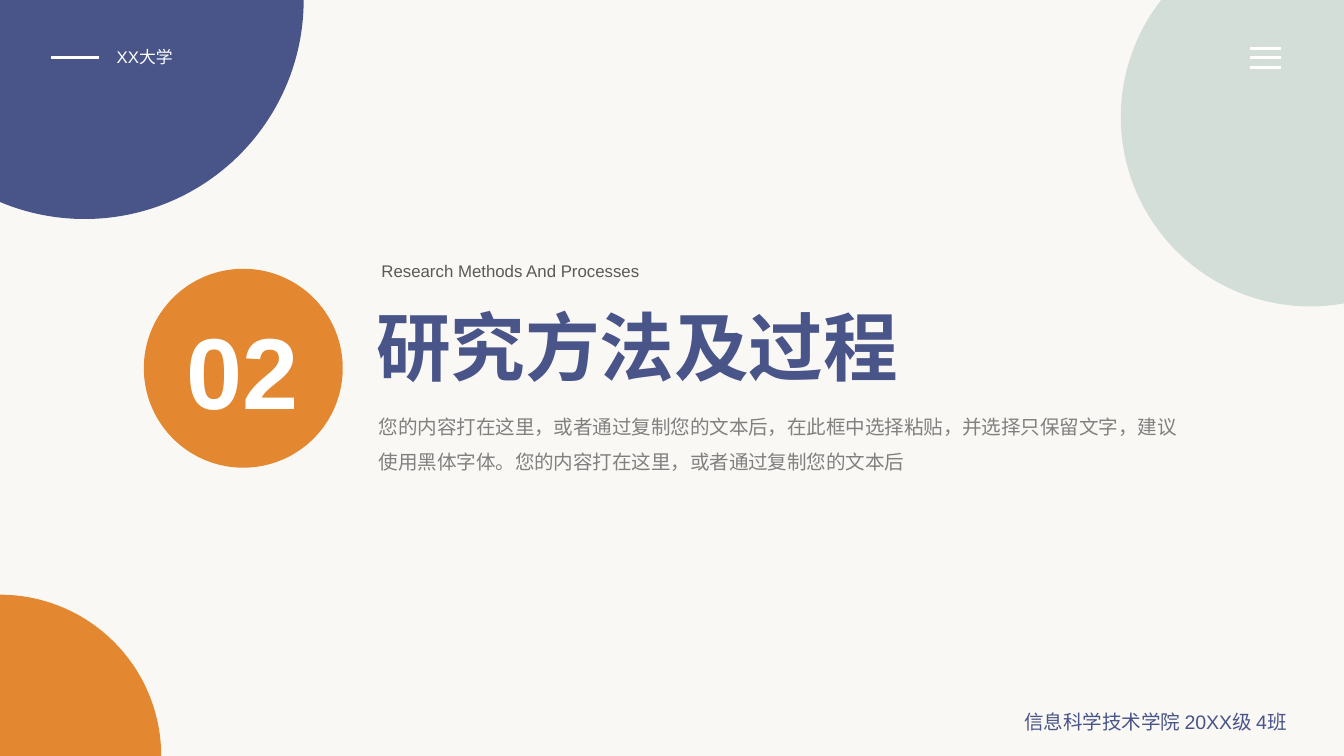
from math import acos, asin, cos, degrees, radians, sin
from pptx import Presentation
from pptx.dml.color import RGBColor
from pptx.enum import lang, shapes, text
from pptx.oxml.ns import qn
from pptx.util import Inches, Pt

CREAM = RGBColor(0xFA, 0xF8, 0xF4)
NAVY = RGBColor(0x49, 0x55, 0x89)
ORANGE = RGBColor(0xE3, 0x87, 0x30)
SAGE = RGBColor(0xD3, 0xDE, 0xD8)
WHITE = RGBColor(0xFF, 0xFF, 0xFF)
GREY = RGBColor(0x80, 0x80, 0x80)
DARK = RGBColor(0x59, 0x59, 0x59)

# Lengths are cells of a square grid, 100 columns wide
COLUMNS, ROWS = 100, 56.25
CELL = Inches(10) / COLUMNS
LEFT, CENTER = text.PP_ALIGN.LEFT, text.PP_ALIGN.CENTER
RIGHT, JUSTIFY = text.PP_ALIGN.RIGHT, text.PP_ALIGN.JUSTIFY

# Corner discs: centre, radius, slide corner, colour, and the arc's angles
# in degrees, clockwise from the right, from one slide edge to the other
CORNERS = [
    ((6.3, 0), 16.3, (0, 0), NAVY, (0, 90, degrees(acos(-6.3 / 16.3)))),
    ((0, ROWS), 12, (0, ROWS), ORANGE, (270, 360)),
    ((97.5, 8.7), 14.1, (COLUMNS, 0), SAGE,
     (180 + degrees(asin(8.7 / 14.1)), 180, 90, degrees(acos(2.5 / 14.1)))),
]
BADGE = (10.7, 20, 14.8)  # column, row, diameter

# Rules: start column, end column, row
MENU_MIDDLE, MENU_GAP = 4.3, 0.7
RULES = [(3.8, 7.4, MENU_MIDDLE)] + [
    (93, 95.3, MENU_MIDDLE + step * MENU_GAP) for step in (-1, 0, 1)]

# Texts: words, (column, row, width, height), size, colour, align, bold, wrap, spacing
TEXTS = [
    ("信息科学技术学院 20XX级 4班", (66.9, 52.3, 29.8, 2.9), 10.5, NAVY, RIGHT, False, True, None),
    ("XX大学", (7.7, 3, 11.8, 2.5), 9, WHITE, JUSTIFY, False, True, None),
    ("研究方法及过程", (27, 21.9, 41.3, 7.7), 40, NAVY, LEFT, True, False, None),
    ("您的内容打在这里，或者通过复制您的文本后，在此框中选择粘贴，并选择只保留文字，"
     "建议使用黑体字体。您的内容打在这里，或者通过复制您的文本后",
     (27.2, 29.5, 62.1, 6.1), 10.5, GREY, LEFT, False, True, 1.5),
    ("Research Methods And Processes", (27.4, 18.9, 21.4, 2.5), 9, DARK, LEFT, False, False, None),
    ("02", (12.2, 22.5, 11.7, 10.1), 54, WHITE, CENTER, True, True, None),
]


def cells(*lengths):
    return [round(length * CELL) for length in lengths]


def paint(shape, color):
    shape.shadow.inherit = False
    shape.fill.solid()
    shape.fill.fore_color.rgb = color
    shape.line.fill.background()


def add_corner(page, center, radius, corner, color, angles):
    """Draw a disc cut off at the edges of the slide."""
    column, row = center
    points = [cells(column + radius * cos(radians(angle)),
                    row + radius * sin(radians(angle))) for angle in angles]
    outline = page.shapes.build_freeform(*points[0])
    outline.add_line_segments(points[1:] + [cells(*corner)], close=True)
    disc = outline.convert_to_shape()
    paint(disc, color)

    # Bend the lines between the angles into arcs
    lines = list(disc._element.iter(qn("a:lnTo")))
    size = str(round(radius * CELL))
    for line, start, end in zip(lines, angles, angles[1:]):
        arc = line.makeelement(qn("a:arcTo"), {
            "wR": size, "hR": size,
            "stAng": str(round(start * 60000)),
            "swAng": str(round((end - start) * 60000))})
        line.getparent().replace(line, arc)


def add_rule(page, start, end, row):
    rule = page.shapes.add_connector(
        shapes.MSO_CONNECTOR.STRAIGHT, *cells(start, row, end, row))
    rule.line.color.rgb = WHITE
    rule.line.width = Pt(1.5)
    properties = rule._element.spPr
    properties.append(properties.makeelement(qn("a:effectLst"), {}))


def add_text(page, words, place, size, color, align, bold, wrap, spacing):
    box = page.shapes.add_textbox(*cells(*place))
    frame = box.text_frame
    frame.word_wrap = wrap
    frame.auto_size = text.MSO_AUTO_SIZE.SHAPE_TO_FIT_TEXT
    para = frame.paragraphs[0]
    para.alignment = align
    if spacing:
        para.line_spacing = spacing
    span = para.add_run()
    span.text = words
    font = span.font
    font.name, font.size, font.bold = "Arial", Pt(size), bold
    font.color.rgb = color
    font.language_id = lang.MSO_LANGUAGE_ID.SIMPLIFIED_CHINESE


def main():
    deck = Presentation()
    deck.slide_width, deck.slide_height = cells(COLUMNS, ROWS)
    page = deck.slides.add_slide(deck.slide_layouts[6])
    page.background.fill.solid()
    page.background.fill.fore_color.rgb = CREAM

    # Decoration
    for corner in CORNERS:
        add_corner(page, *corner)
    for rule in RULES:
        add_rule(page, *rule)

    # Section badge
    column, row, diameter = BADGE
    badge = page.shapes.add_shape(
        shapes.MSO_SHAPE.OVAL, *cells(column, row, diameter, diameter))
    paint(badge, ORANGE)

    # Wording
    for entry in TEXTS:
        add_text(page, *entry)

    deck.save("out.pptx")


if __name__ == "__main__":
    main()
